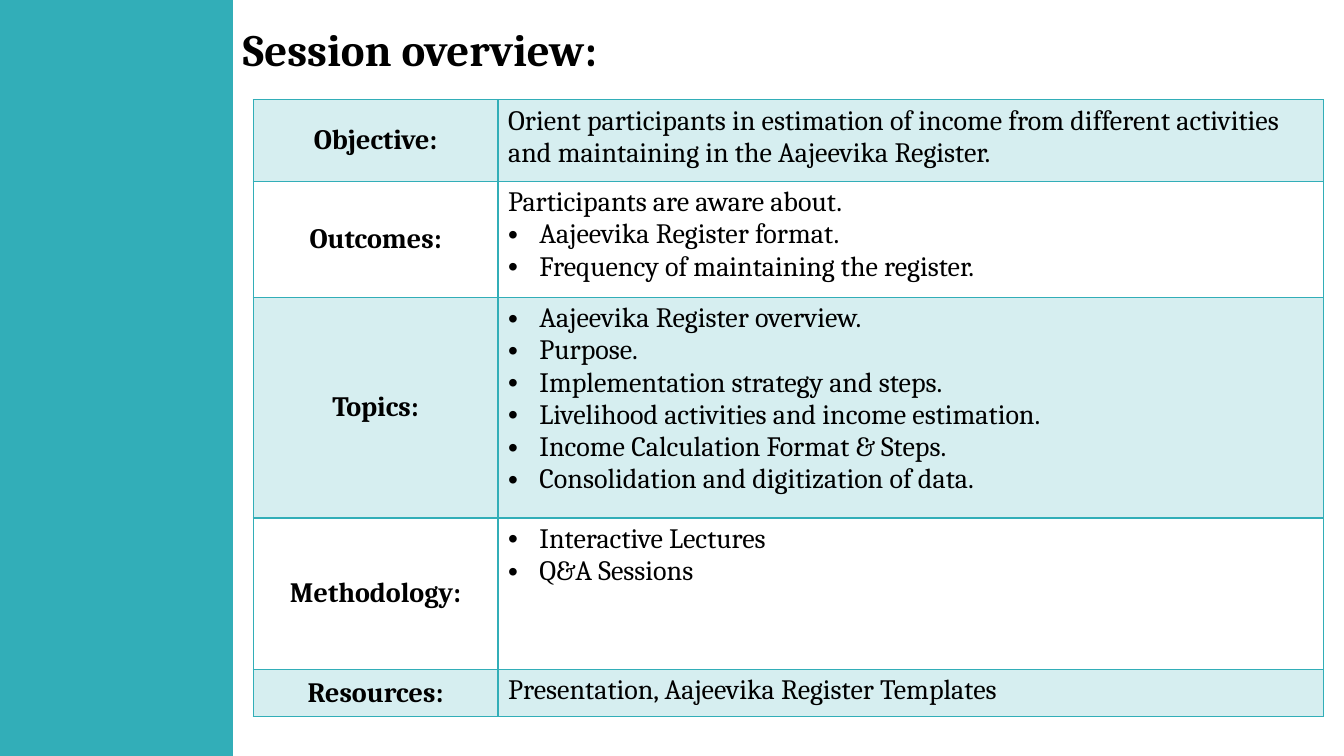
from dataclasses import dataclass

from lxml import etree
from pptx import Presentation
from pptx.dml.color import RGBColor
from pptx.enum.shapes import MSO_SHAPE
from pptx.enum.text import MSO_ANCHOR, PP_ALIGN
from pptx.oxml.ns import qn
from pptx.slide import Slide
from pptx.table import _Cell
from pptx.text.text import _Paragraph
from pptx.util import Inches, Length, Pt

RECT = MSO_SHAPE.RECTANGLE
MIDDLE, TOP = MSO_ANCHOR.MIDDLE, MSO_ANCHOR.TOP
CENTER, LEFT = PP_ALIGN.CENTER, PP_ALIGN.LEFT

TEAL = RGBColor(0x32, 0xAE, 0xB8)
BLACK = RGBColor(0x00, 0x00, 0x00)
FONT = "Cambria"
WIDE, HIGH = Inches(13.33), Inches(7.5)
INDENT = Inches(0.31)
BORDER = Pt(1)
TINT = 20  # percent opacity of the banded rows

# Shares of the slide, in percent
BAND = 17.33
TABLE_X, TABLE_Y = 18.83, 13.2
COLUMNS = (18.23, 61.44)


@dataclass(frozen=True)
class Topic:
    label: str
    height: float
    intro: str = ""
    points: tuple[str, ...] = ()


TOPICS = (
    Topic("Objective:", 10.8,
          "Orient participants in estimation of income from different "
          "activities and maintaining in the Aajeevika Register."),
    Topic("Outcomes:", 15.33, "Participants are aware about.",
          ("Aajeevika Register format.",
           "Frequency of maintaining the register.")),
    Topic("Topics:", 29.2, points=(
        "Aajeevika Register overview.",
        "Purpose.",
        "Implementation strategy and steps.",
        "Livelihood activities and income estimation.",
        "Income Calculation Format & Steps.",
        "Consolidation and digitization of data.")),
    Topic("Methodology:", 20, points=("Interactive Lectures", "Q&A Sessions")),
    Topic("Resources:", 6.27, "Presentation, Aajeevika Register Templates"),
)


def across(share: float) -> Length:
    return Length(round(WIDE * share / 100))


def down(share: float) -> Length:
    return Length(round(HIGH * share / 100))


def write(para: _Paragraph, text: str, size: int, bold: bool,
          align: PP_ALIGN = LEFT) -> None:
    para.text = text
    para.alignment = align
    font = para.font
    font.name, font.size, font.bold = FONT, Pt(size), bold
    font.color.rgb = BLACK


def add_bullet(para: _Paragraph) -> None:
    props = para._p.get_or_add_pPr()
    props.set("marL", str(INDENT))
    props.set("indent", str(-INDENT))
    color = etree.SubElement(props, qn("a:buClr"))
    etree.SubElement(color, qn("a:srgbClr"), val=str(BLACK))
    etree.SubElement(props, qn("a:buFont"), typeface="Arial")
    etree.SubElement(props, qn("a:buChar"), char="•")


def style_cell(cell: _Cell, tinted: bool) -> None:
    """Draw the four borders, then fill the cell or leave it clear."""
    props = cell._tc.get_or_add_tcPr()
    for side in ("lnL", "lnR", "lnT", "lnB"):
        line = etree.SubElement(props, qn(f"a:{side}"), w=str(BORDER))
        paint = etree.SubElement(line, qn("a:solidFill"))
        etree.SubElement(paint, qn("a:srgbClr"), val=str(TEAL))
    if tinted:
        cell.fill.solid()
        cell.fill.fore_color.rgb = TEAL
        color = props.find(qn("a:solidFill")).find(qn("a:srgbClr"))
        etree.SubElement(color, qn("a:alpha"), val=str(TINT * 1000))
    else:
        cell.fill.background()


def fill_body(cell: _Cell, topic: Topic) -> None:
    lines = [(topic.intro, False)] if topic.intro else []
    lines += [(point, True) for point in topic.points]
    frame = cell.text_frame
    for index, (text, marked) in enumerate(lines):
        para = frame.add_paragraph() if index else frame.paragraphs[0]
        if marked:
            add_bullet(para)
        write(para, text, 20, False)


def add_band(slide: Slide) -> None:
    band = slide.shapes.add_shape(RECT, 0, 0, across(BAND), HIGH)
    band.shadow.inherit = False
    band.fill.solid()
    band.fill.fore_color.rgb = TEAL
    band.line.fill.background()


def add_title(slide: Slide) -> None:
    box = slide.shapes.add_textbox(
        across(BAND), down(1.87), across(100 - BAND), down(9.2))
    frame = box.text_frame
    frame.word_wrap = True
    frame.vertical_anchor = MIDDLE
    write(frame.paragraphs[0], "Session overview:", 32, True)


def add_topics(slide: Slide) -> None:
    table = slide.shapes.add_table(
        len(TOPICS), len(COLUMNS), across(TABLE_X), down(TABLE_Y),
        across(sum(COLUMNS)), down(sum(topic.height for topic in TOPICS))).table
    table.first_row = table.horz_banding = False
    for column, share in zip(table.columns, COLUMNS):
        column.width = across(share)
    for index, (row, topic) in enumerate(zip(table.rows, TOPICS)):
        row.height = down(topic.height)
        head, body = row.cells
        for cell in (head, body):
            style_cell(cell, index % 2 == 0)
        head.vertical_anchor, body.vertical_anchor = MIDDLE, TOP
        write(head.text_frame.paragraphs[0], topic.label, 20, True, CENTER)
        fill_body(body, topic)


def main() -> None:
    deck = Presentation()
    deck.slide_width, deck.slide_height = WIDE, HIGH
    slide = deck.slides.add_slide(deck.slide_layouts[6])
    add_band(slide)
    add_title(slide)
    add_topics(slide)
    deck.save("out.pptx")


if __name__ == "__main__":
    main()
